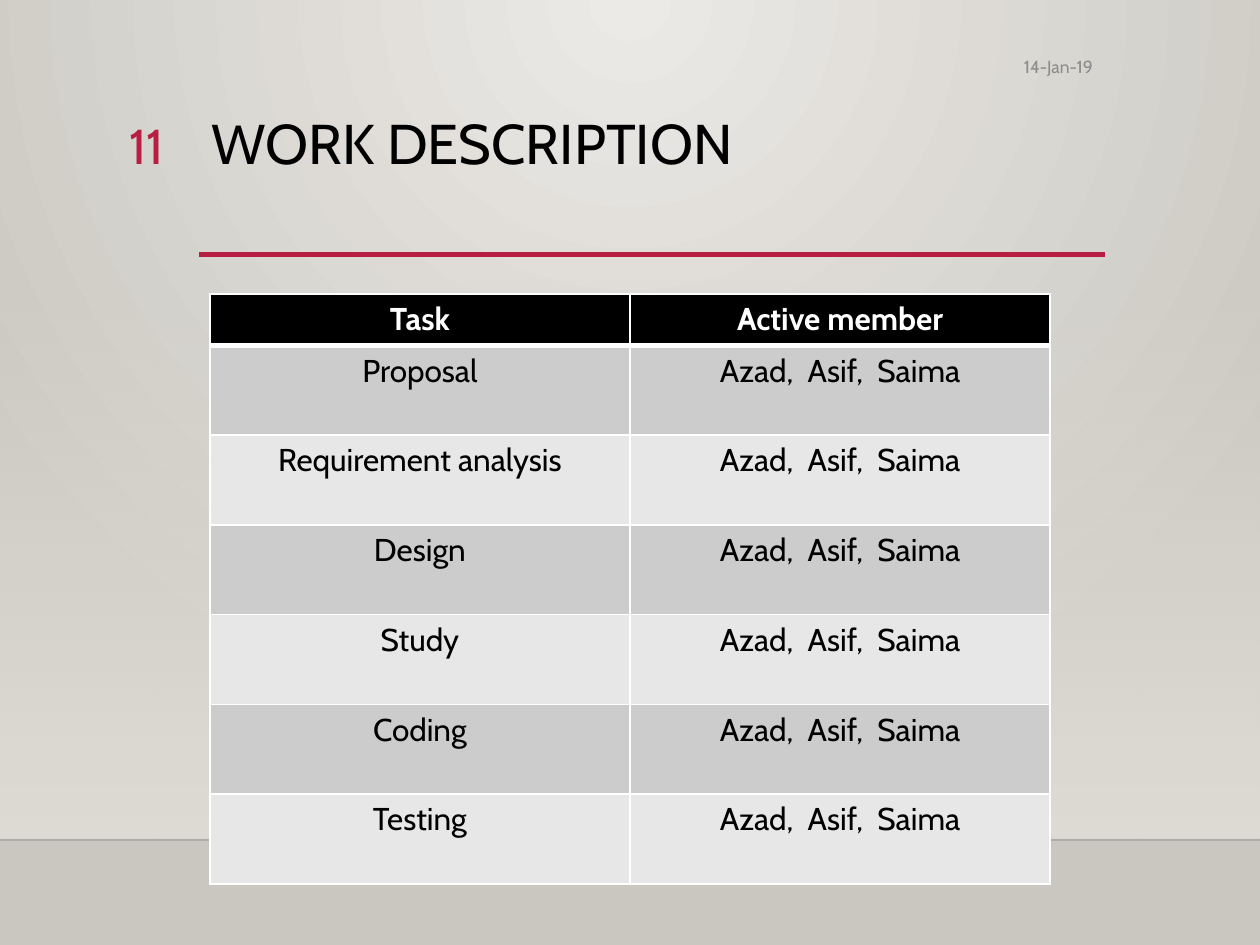
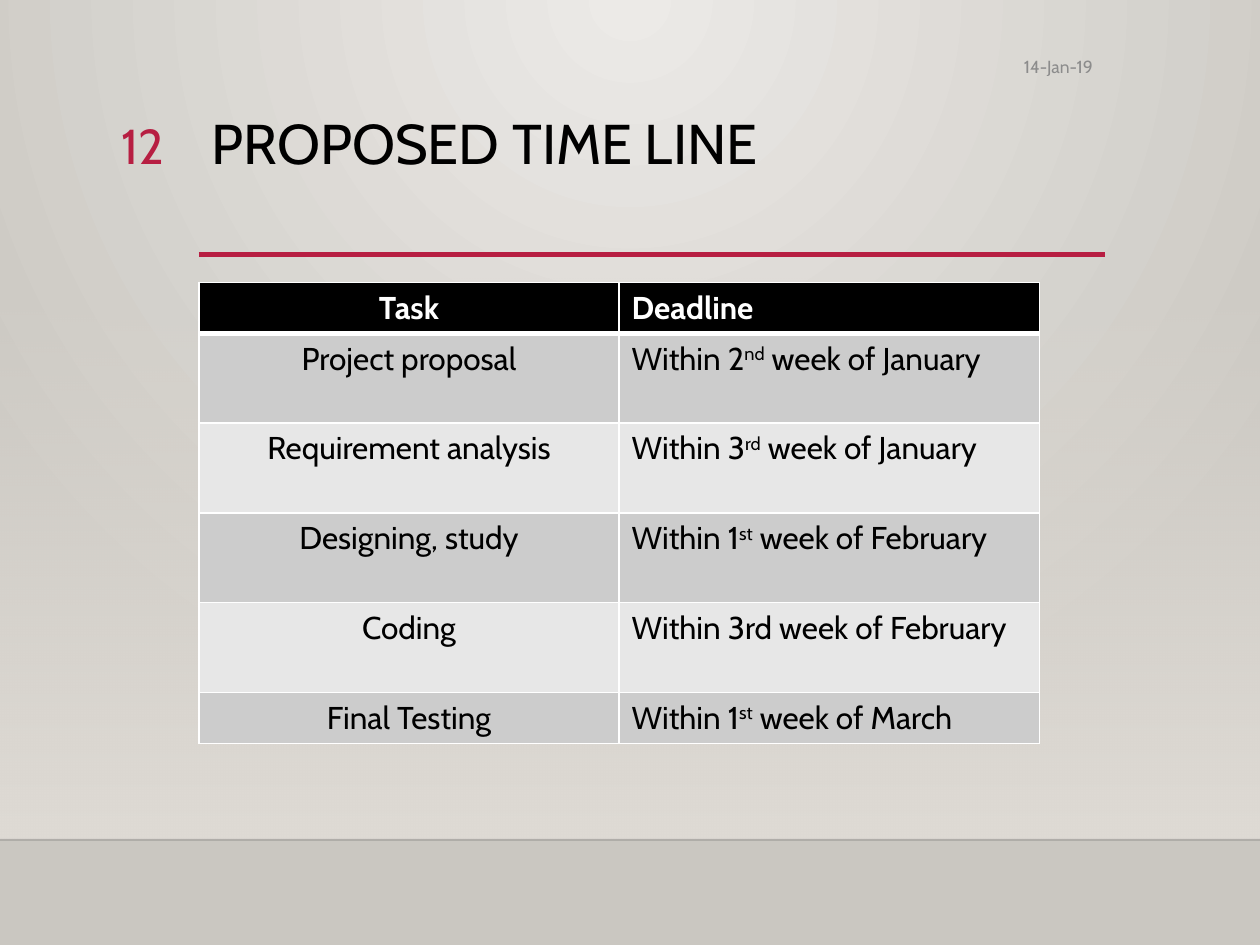
"""Builds two project plan slides: who does each task, and by when."""
from pptx import Presentation
from pptx.dml.color import RGBColor
from pptx.enum.shapes import MSO_CONNECTOR, MSO_SHAPE
from pptx.enum.text import MSO_ANCHOR, PP_ALIGN
from pptx.oxml import parse_xml
from pptx.oxml.ns import nsdecls, qn
from pptx.util import Cm, Pt

HUES = {
    "glow": "ECEAE7", "edge": "CAC7C1", "wall": "DFDBD5", "floor": "000001",
    "red": "B71E42", "grey": "8C8C8C", "black": "000000", "white": "FFFFFF",
    "dark": "CCCCCC", "light": "E7E7E7",
}
LEFT, MID, RIGHT = PP_ALIGN.LEFT, PP_ALIGN.CENTER, PP_ALIGN.RIGHT
HEAD, TALL, WIDE = 1.03, 1.81, 8.47
TEAM = ["Azad,  Asif,  Saima"]

PLANS = [
    {
        "title": "WORK DESCRIPTION", "page": "11", "at": (4.23, 5.93), "align": MID,
        "rows": [("Task", ["Active member"], HEAD)] + [
            (task, TEAM, TALL) for task in
            ("Proposal", "Requirement analysis", "Design", "Study", "Coding", "Testing")
        ],
    },
    {
        "title": "PROPOSED TIME LINE", "page": "12", "at": (4.01, 5.69), "align": LEFT,
        "rows": [
            ("Task", ["Deadline"], HEAD),
            ("Project proposal", ["Within 2", "nd", " week of January"], TALL),
            ("Requirement analysis", ["Within 3", "rd", " week of January"], TALL),
            ("Designing, study", ["Within 1", "st", " week of February"], TALL),
            ("Coding", ["Within 3rd week of February"], TALL),
            ("Final Testing", ["Within 1", "st", " week of March"], HEAD),
        ],
    },
]


def blend(props, first, last, alpha, shade):
    """Swap the solid fill in props for a two-stop gradient."""
    grad = parse_xml(
        f'<a:gradFill {nsdecls("a")} rotWithShape="1"><a:gsLst>'
        f'<a:gs pos="0"><a:srgbClr val="{HUES[first]}"><a:alpha val="{alpha}"/></a:srgbClr></a:gs>'
        f'<a:gs pos="100000"><a:srgbClr val="{HUES[last]}"/></a:gs>'
        f'</a:gsLst>{shade}</a:gradFill>')
    props.replace(props.find(qn("a:solidFill")), grad)


def write(frame, parts, size, hue, align, bold=False):
    """Add the parts as runs, with every second one raised."""
    para = frame.paragraphs[0]
    para.alignment = align
    for spot, part in enumerate(parts):
        run = para.add_run()
        run.text = part
        run.font.name = "Cabin"
        run.font.size = Pt(size)
        run.font.bold = bold
        run.font.color.rgb = RGBColor.from_string(HUES[hue])
        if spot % 2:
            run._r.get_or_add_rPr().set("baseline", "30000")
    return para


deck = Presentation()
deck.slide_width, deck.slide_height = Cm(25.4), Cm(19.05)

for plan in PLANS:
    slide = deck.slides.add_slide(deck.slide_layouts[6])
    slide.background.fill.solid()
    blend(slide.element.find(".//" + qn("p:bgPr")), "glow", "edge", 100000,
          '<a:path path="circle"><a:fillToRect l="43000" t="0" r="43000" b="100000"/></a:path>')

    wall = slide.shapes.add_shape(MSO_SHAPE.RECTANGLE, 0, Cm(5.6), Cm(25.4), Cm(11.33))
    wall.shadow.inherit = False
    wall.line.fill.background()
    wall.fill.solid()
    blend(wall._element.spPr, "wall", "wall", 0, '<a:lin ang="5400000" scaled="0"/>')

    for start, end, high, hue, weight in (
        (0, 25.4, 16.93, "floor", 1), (4.01, 22.28, 5.13, "red", 2.5),
    ):
        rule = slide.shapes.add_connector(
            MSO_CONNECTOR.STRAIGHT, Cm(start), Cm(high), Cm(end), Cm(high))
        rule.line.width = Pt(weight)
        rule.line.color.rgb = RGBColor.from_string(HUES[hue])
        rule._element.spPr.append(parse_xml(f'<a:effectLst {nsdecls("a")}/>'))
        if hue == "floor":
            tint = rule._element.spPr.find(".//" + qn("a:srgbClr"))
            tint.append(parse_xml(f'<a:alpha {nsdecls("a")} val="20000"/>'))

    for text, box, size, hue, align, anchor in (
        (plan["title"], (4.01, 2.21, 18.26, 2.92), 32, "black", LEFT, MSO_ANCHOR.TOP),
        ("14-Jan-19", (15.7, 0.91, 6.58, 0.86), 10, "grey", RIGHT, MSO_ANCHOR.MIDDLE),
        (plan["page"], (1.35, 2.21, 2.21, 1.4), 28, "red", RIGHT, MSO_ANCHOR.TOP),
    ):
        frame = slide.shapes.add_textbox(*map(Cm, box)).text_frame
        frame.word_wrap = True
        frame.vertical_anchor = anchor
        para = write(frame, [text], size, hue, align)
        if text == plan["title"]:
            para.line_spacing = 0.9

    rows = plan["rows"]
    tall = sum(row[2] for row in rows)
    grid = slide.shapes.add_table(
        len(rows), 2, *map(Cm, plan["at"]), Cm(2 * WIDE), Cm(tall)).table
    grid.horz_banding = False
    for col in grid.columns:
        col.width = Cm(WIDE)
    for num, (task, parts, high) in enumerate(rows):
        grid.rows[num].height = Cm(high)
        top = num == 0
        back = "black" if top else "dark" if num % 2 else "light"
        for side, (words, align) in enumerate((([task], MID), (parts, plan["align"]))):
            cell = grid.cell(num, side)
            write(cell.text_frame, words, 18, "white" if top else "black", align, top)
            props = cell._tc.get_or_add_tcPr()
            for edge in "LRTB":
                thick = (num, edge) in ((0, "B"), (1, "T"))
                props.append(parse_xml(
                    f'<a:ln{edge} {nsdecls("a")} w="{Pt(3 if thick else 1)}"><a:solidFill>'
                    f'<a:srgbClr val="{HUES["white"]}"/></a:solidFill></a:ln{edge}>'))
            cell.fill.solid()
            cell.fill.fore_color.rgb = RGBColor.from_string(HUES[back])

deck.save("out.pptx")
